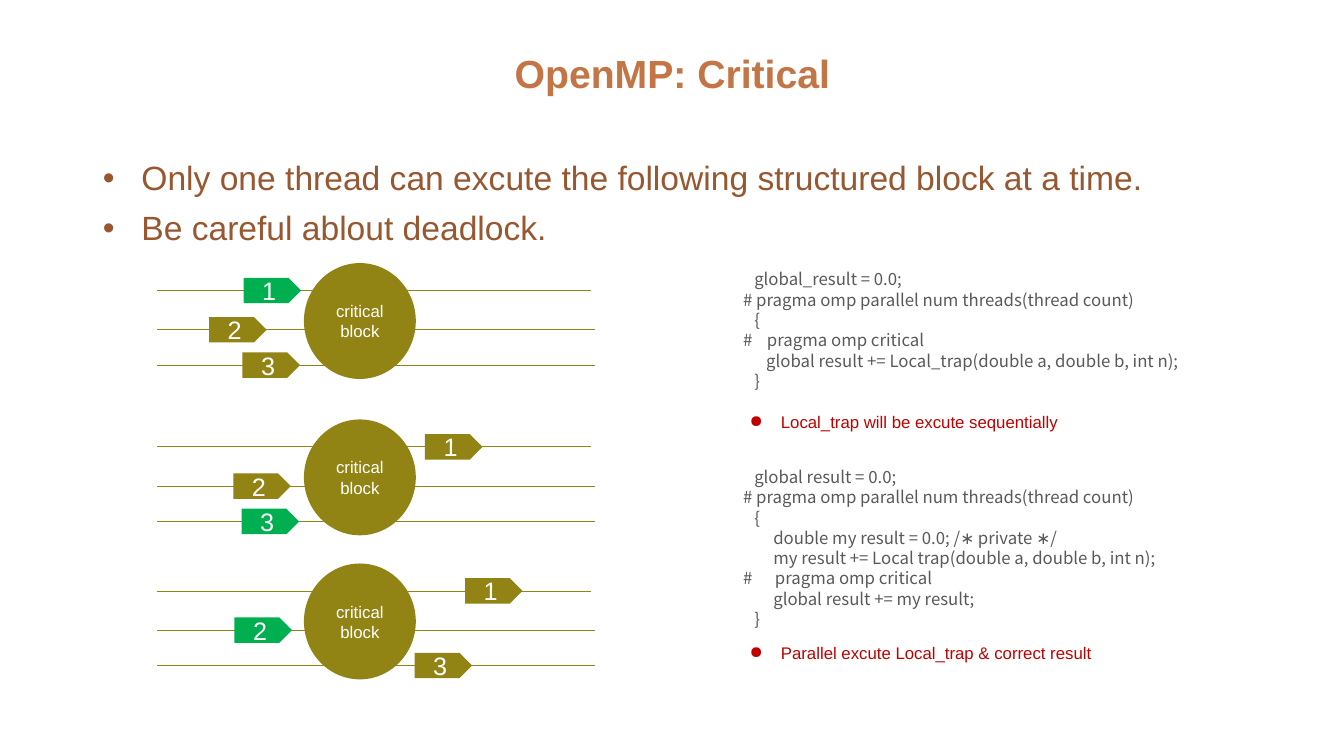
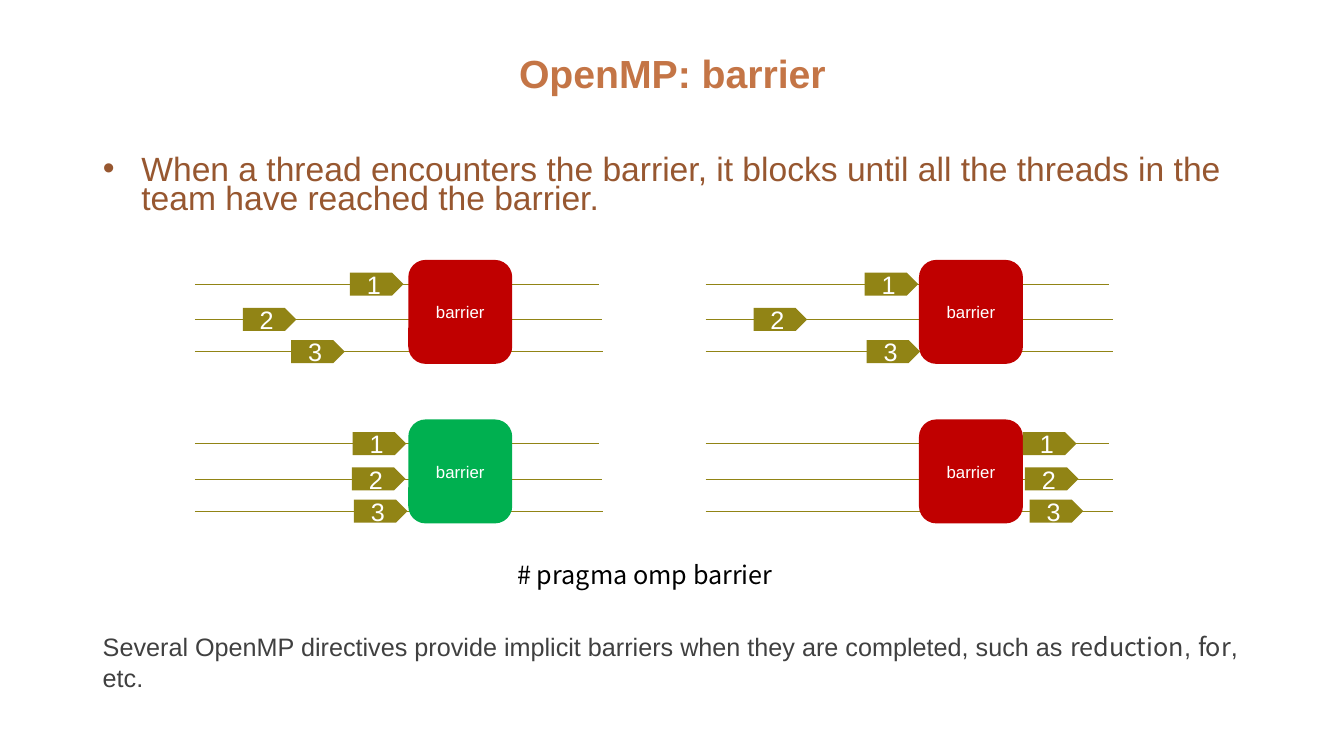
from dataclasses import dataclass

from lxml import etree
from pptx import Presentation
from pptx.dml.color import RGBColor
from pptx.enum.shapes import MSO_CONNECTOR, MSO_SHAPE
from pptx.enum.text import MSO_ANCHOR, MSO_AUTO_SIZE, PP_ALIGN
from pptx.oxml.ns import qn
from pptx.util import Cm, Pt

CENTER, LEFT = PP_ALIGN.CENTER, PP_ALIGN.LEFT
MIDDLE = MSO_ANCHOR.MIDDLE
NO_FIT = MSO_AUTO_SIZE.NONE
STRAIGHT = MSO_CONNECTOR.STRAIGHT
OVAL, ROUNDED, TAG = MSO_SHAPE.OVAL, MSO_SHAPE.ROUNDED_RECTANGLE, MSO_SHAPE.PENTAGON


@dataclass(frozen=True)
class Theme:
    title: str = "C47546"
    body: str = "975730"
    olive: str = "918415"
    green: str = "00B050"
    red: str = "C00000"
    white: str = "FFFFFF"
    black: str = "000000"
    code: str = "595959"
    note: str = "404040"
    sans: str = "Arial"
    mono: str = "Noto Sans CJK SC"
    title_size: int = 28
    body_size: int = 24
    text_size: int = 18
    small_size: int = 12


T = Theme()


def write(tf, paras, size, color, font=T.sans, bold=False, bullet=None, indent=0, **fmt):
    tf.word_wrap = True
    for i, runs in enumerate(paras):
        p = tf.paragraphs[0] if i == 0 else tf.add_paragraph()
        for name, value in fmt.items():
            setattr(p, name, value)
        if bullet:
            pPr = p._p.get_or_add_pPr()
            pPr.set("marL", str(Cm(indent)))
            pPr.set("indent", str(-Cm(indent)))
            etree.SubElement(pPr, qn("a:buChar")).set("char", bullet)
        for text, face in [(runs, font)] if isinstance(runs, str) else runs:
            r = p.add_run()
            r.text = text
            for name, value in {"name": face, "size": Pt(size), "bold": bold}.items():
                setattr(r.font, name, value)
            r.font.color.rgb = RGBColor.from_string(color)


def add_block(shapes, kind, box, fill, paras, size):
    sp = shapes.add_shape(kind, *map(Cm, box))
    sp.shadow.inherit = False
    sp.fill.solid()
    sp.fill.fore_color.rgb = RGBColor.from_string(fill)
    sp.line.fill.background()
    sp.text_frame.vertical_anchor = MIDDLE
    write(sp.text_frame, paras, size, T.white, alignment=CENTER)


prs = Presentation()
prs.slide_width, prs.slide_height = Cm(33.87), Cm(19.05)
layout = prs.slide_layouts[1]
for ph, box in zip(layout.placeholders, [(2.34, 1.02, 29.21, 1.8), (2.34, 3.94, 29.21, 13.34)]):
    ph.left, ph.top, ph.width, ph.height = map(Cm, box)

pages = [
    {
        "title": "OpenMP: Critical",
        "points": [
            "Only one thread can excute the following structured block at a time.",
            "Be careful ablout deadlock.",
        ],
        "spacing": 0.9,
        "kind": OVAL,
        "label": ["critical", "block"],
        "block": (2.82, 2.92),
        "tag": (1.45, 0.64),
        "start": -3.71,
        "lanes": [(0.69, 7.24), (1.68, 7.34), (2.57, 7.34)],
        "scenes": [
            (7.66, 6.63, T.olive, [-1.52, -2.39, -1.55], 1),
            (7.66, 10.57, T.olive, [3.05, -1.78, -1.57], 3),
            (7.66, 14.2, T.olive, [4.06, -1.75, 2.79], 2),
        ],
    },
    {
        "title": "OpenMP: barrier",
        "points": [
            "When a thread encounters the barrier, it blocks until all the threads "
            "in the team have reached the barrier.",
        ],
        "spacing": 0.7,
        "kind": ROUNDED,
        "label": ["barrier"],
        "block": (2.62, 2.62),
        "tag": (1.35, 0.58),
        "start": -5.38,
        "lanes": [(0.61, 4.8), (1.5, 4.88), (2.31, 4.9)],
        "scenes": [
            (10.29, 6.55, T.red, [-1.47, -4.17, -2.95], None),
            (23.16, 6.55, T.red, [-1.37, -4.17, -1.32], None),
            (10.29, 10.57, T.green, [-1.4, -1.42, -1.37], None),
            (23.16, 10.57, T.red, [2.62, 2.67, 2.79], None),
        ],
    },
]

for page in pages:
    s = prs.slides.add_slide(layout)
    title, body = s.placeholders
    title.text_frame.vertical_anchor = MIDDLE
    write(title.text_frame, [page["title"]], T.title_size, T.title, bold=True,
          alignment=CENTER, line_spacing=0.9)
    body.text_frame.auto_size = NO_FIT
    write(body.text_frame, page["points"], T.body_size, T.body, bullet="•", indent=0.97,
          line_spacing=page["spacing"], space_before=Pt(10))

    tag_w, tag_h = page["tag"]
    for left, top, fill, offsets, active in page["scenes"]:
        shapes = s.shapes.add_group_shape().shapes
        for y, end in page["lanes"]:
            lane = shapes.add_connector(STRAIGHT, Cm(left + page["start"]), Cm(top + y),
                                        Cm(left + end), Cm(top + y))
            lane.line.color.rgb = RGBColor.from_string(T.olive)
            lane.line.width = Pt(0.5)
            etree.SubElement(lane._element.spPr, qn("a:effectLst"))
        add_block(shapes, page["kind"], (left, top, *page["block"]), fill,
                  page["label"], T.small_size)
        for n, ((y, end), x) in enumerate(zip(page["lanes"], offsets), 1):
            add_block(shapes, TAG, (left + x, top + y - tag_h / 2, tag_w, tag_h),
                      T.green if n == active else T.olive, [str(n)], T.text_size)

critical, barrier = prs.slides
barrier.placeholders[1].left, barrier.placeholders[1].top = Cm(2.34), Cm(3.89)
barrier.placeholders[1].width, barrier.placeholders[1].height = Cm(29.21), Cm(1.96)

listings = [
    (6.65, 3.33, [
        (0.28, "global_result = 0.0;"),
        (0, "# pragma omp parallel num threads(thread count)"),
        (0.28, "{"),
        (0.6, "#\tpragma omp critical"),
        (0.58, "global result += Local_trap(double a, double b, int n);"),
        (0.28, "}"),
    ]),
    (11.63, 4.37, [
        (0.28, "global result = 0.0;"),
        (0, "# pragma omp parallel num threads(thread count)"),
        (0.28, "{"),
        (0.76, "double my result = 0.0; /∗ private ∗/"),
        (0.76, "my result += Local trap(double a, double b, int n);"),
        (0.8, "#\tpragma omp critical"),
        (0.76, "global result += my result;"),
        (0.28, "}"),
    ]),
]
for top, height, lines in listings:
    tf = critical.shapes.add_textbox(Cm(18.48), Cm(top), Cm(11.71), Cm(height)).text_frame
    write(tf, [text for _, text in lines], T.small_size, T.code, T.mono, line_spacing=Pt(14.5))
    for p, (indent, text) in zip(tf.paragraphs, lines):
        pPr = p._p.get_or_add_pPr()
        pPr.set("marL", str(Cm(indent)))
        pPr.set("indent", str(-Cm(indent) if "\t" in text else 0))

remarks = [
    (10.26, "Local_trap will be excute sequentially"),
    (16.08, "Parallel excute Local_trap & correct result"),
]
for top, text in remarks:
    tf = critical.shapes.add_textbox(Cm(18.64), Cm(top), Cm(10.85), Cm(0.76)).text_frame
    write(tf, [text], T.small_size, T.red, bullet="●", indent=0.79)

implicit = [
    ("Several OpenMP directives provide implicit barriers when they are completed, such as ", T.sans),
    ("reduction", T.mono),
    (", ", T.sans),
    ("for", T.mono),
    (", etc.", T.sans),
]
captions = [
    ((2.34, 15.8, 29.21, 1.8), implicit, T.note, LEFT),
    ((9.22, 13.97, 14.07, 1.02), [("# pragma omp barrier", T.mono)], T.black, CENTER),
]
for box, runs, color, align in captions:
    tf = barrier.shapes.add_textbox(*map(Cm, box)).text_frame
    write(tf, [runs], T.text_size, color, alignment=align, line_spacing=Pt(21.5))

prs.save("out.pptx")
